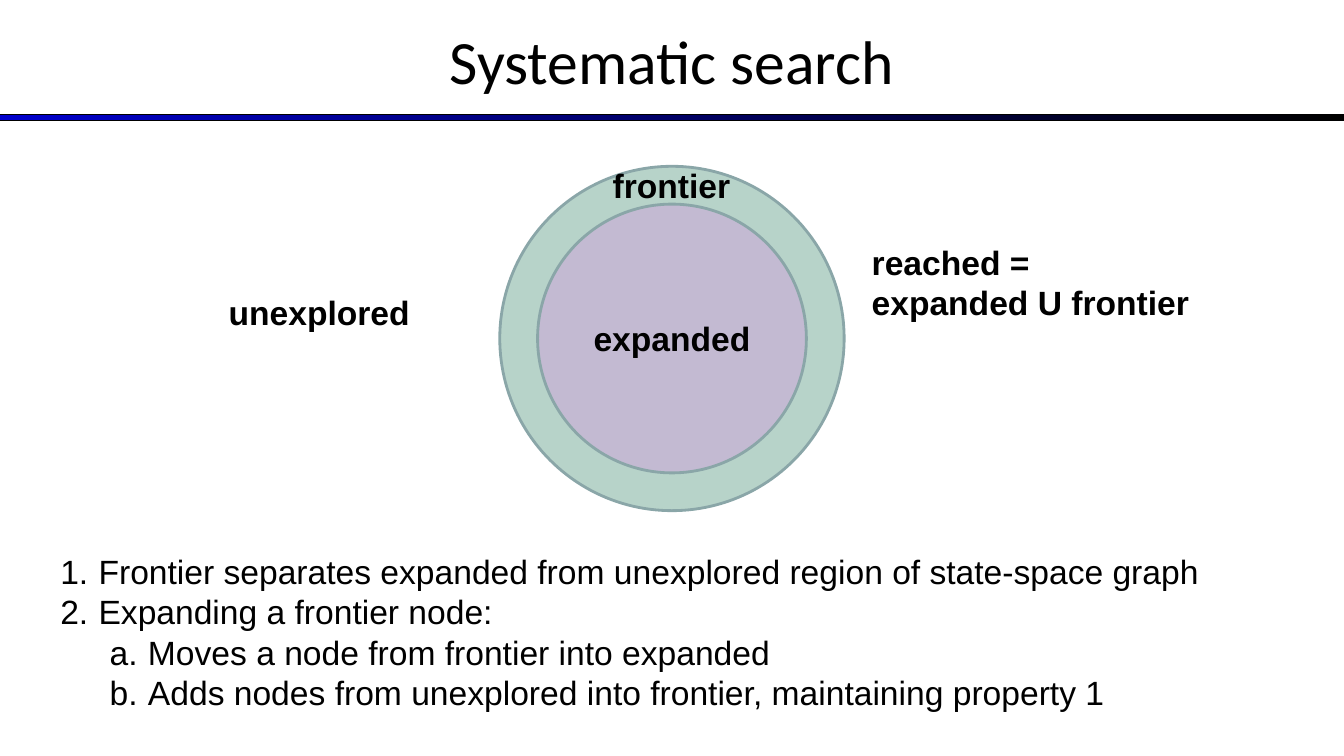
from dataclasses import dataclass

from lxml.etree import SubElement
from pptx import Presentation
from pptx.dml.color import RGBColor
from pptx.enum.shapes import MSO_SHAPE
from pptx.enum.text import MSO_ANCHOR, MSO_AUTO_SIZE, PP_ALIGN
from pptx.oxml.ns import qn
from pptx.shapes.autoshape import Shape
from pptx.slide import Slide
from pptx.text.text import TextFrame
from pptx.util import Inches, Pt

# Grid of 160 columns by 90 rows
COLUMNS, ROWS = 160, 90
WIDTH, HEIGHT = Inches(13.333), Inches(7.5)
CENTER_COLUMN, CENTER_ROW = COLUMNS / 2, 40.3
BLACK = "000000"


@dataclass(frozen=True)
class Area:
    column: float
    row: float
    columns: float
    rows: float

    def emu(self) -> tuple[int, int, int, int]:
        return (
            int(WIDTH * self.column / COLUMNS),
            int(HEIGHT * self.row / ROWS),
            int(WIDTH * self.columns / COLUMNS),
            int(HEIGHT * self.rows / ROWS),
        )


@dataclass(frozen=True)
class Region:
    diameter: float
    fill: str
    label: str = ""


@dataclass(frozen=True)
class Label:
    text: str
    area: Area


@dataclass(frozen=True)
class Point:
    text: str
    level: int = 0


REGIONS = [Region(41, "B7D3C9"), Region(32, "C3BAD2", "expanded")]
LABELS = [
    Label("frontier", Area(71.76, 19, 16.56, 6)),
    Label("unexplored", Area(26.04, 34.2, 24.12, 6)),
    Label("reached =\nexpanded U frontier", Area(102.6, 28.2, 41.64, 10.9)),
]
POINTS = [
    Point("Frontier separates expanded from unexplored region of state-space graph"),
    Point("Expanding a frontier node:"),
    Point("Moves a node from frontier into expanded", 1),
    Point("Adds nodes from unexplored into frontier, maintaining property 1", 1),
]
# Left margin in inches and number style of each level
NUMBERING = [(0.38, "arabicPeriod"), (0.87, "alphaLcPeriod")]


def color(value: str) -> RGBColor:
    return RGBColor.from_string(value)


def format_text(frame: TextFrame, size: float = 24, font: str = "Arial",
                bold: bool = False, align: PP_ALIGN = PP_ALIGN.LEFT) -> None:
    for para in frame.paragraphs:
        para.alignment = align
        for span in para.runs:
            span.font.name = font
            span.font.size = Pt(size)
            span.font.bold = bold
            span.font.color.rgb = color(BLACK)


def add_outlined(slide: Slide, kind: MSO_SHAPE, area: Area,
                 line: str, weight: float) -> Shape:
    shape = slide.shapes.add_shape(kind, *area.emu())
    shape.shadow.inherit = False
    shape.line.color.rgb = color(line)
    shape.line.width = Pt(weight)
    return shape


def add_text(slide: Slide, text: str, area: Area, wrap: bool = True) -> TextFrame:
    frame = slide.shapes.add_textbox(*area.emu()).text_frame
    frame.text = text
    frame.word_wrap = wrap
    return frame


def add_rule(slide: Slide) -> None:
    rule = add_outlined(slide, MSO_SHAPE.RECTANGLE,
                        Area(0, 13.6, COLUMNS, 0.8), BLACK, 0.75)
    rule.fill.gradient()
    rule.fill.gradient_angle = 0
    for stop, value in zip(rule.fill.gradient_stops, ("0000CC", BLACK)):
        stop.color.rgb = color(value)


def add_title(slide: Slide, text: str) -> None:
    frame = add_text(slide, text, Area(0, -0.36, COLUMNS, 15))
    frame.vertical_anchor = MSO_ANCHOR.MIDDLE
    format_text(frame, 44, "Calibri", align=PP_ALIGN.CENTER)


def add_region(slide: Slide, region: Region) -> None:
    radius = region.diameter / 2
    area = Area(CENTER_COLUMN - radius, CENTER_ROW - radius,
                region.diameter, region.diameter)
    circle = add_outlined(slide, MSO_SHAPE.OVAL, area, "8AA6A8", 2)
    circle.fill.solid()
    circle.fill.fore_color.rgb = color(region.fill)
    if region.label:
        circle.text_frame.text = region.label
        circle.text_frame.vertical_anchor = MSO_ANCHOR.MIDDLE
        format_text(circle.text_frame, bold=True, align=PP_ALIGN.CENTER)


def add_label(slide: Slide, label: Label) -> None:
    frame = add_text(slide, label.text, label.area, wrap=False)
    frame.auto_size = MSO_AUTO_SIZE.SHAPE_TO_FIT_TEXT
    format_text(frame, bold=True)


def add_points(slide: Slide, points: list[Point], area: Area) -> None:
    frame = add_text(slide, "\n".join(point.text for point in points), area)
    frame.auto_size = MSO_AUTO_SIZE.SHAPE_TO_FIT_TEXT
    format_text(frame)
    for para, point in zip(frame.paragraphs, points):
        margin, style = NUMBERING[point.level]
        para.level = point.level
        properties = para._p.get_or_add_pPr()
        properties.set("marL", str(Inches(margin)))
        properties.set("indent", str(-Inches(0.38)))
        SubElement(properties, qn("a:buFont"), typeface="+mj-lt")
        SubElement(properties, qn("a:buAutoNum"), type=style)


def main() -> None:
    deck = Presentation()
    deck.slide_width, deck.slide_height = WIDTH, HEIGHT
    slide = deck.slides.add_slide(deck.slide_layouts[6])

    # Heading
    add_rule(slide)
    add_title(slide, "Systematic search")

    # Search regions and their labels
    for region in REGIONS:
        add_region(slide, region)
    for label in LABELS:
        add_label(slide, label)

    # Properties of the frontier
    add_points(slide, POINTS, Area(6, 65, 148, 20.6))
    deck.save("out.pptx")


if __name__ == "__main__":
    main()
